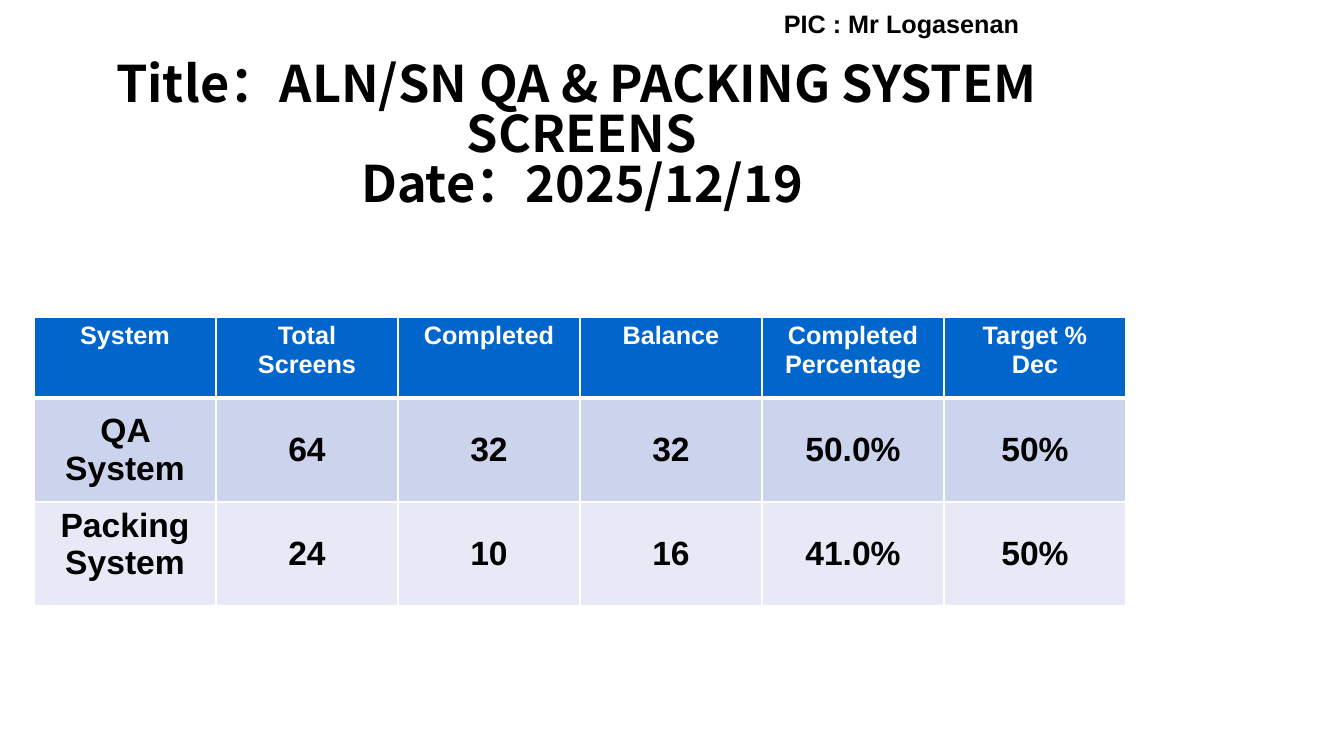
from lxml import etree
from pptx import Presentation
from pptx.dml.color import RGBColor
from pptx.enum.text import MSO_ANCHOR, MSO_AUTO_SIZE, PP_ALIGN
from pptx.oxml.ns import qn
from pptx.util import Pt

TOP, MIDDLE = MSO_ANCHOR.TOP, MSO_ANCHOR.MIDDLE
LEFT, CENTER = PP_ALIGN.LEFT, PP_ALIGN.CENTER
NO_FIT, GROW = MSO_AUTO_SIZE.NONE, MSO_AUTO_SIZE.SHAPE_TO_FIT_TEXT
TITLE_ONLY = 5

TITLE = ["Title：ALN/SN QA & PACKING SYSTEM ", "SCREENS", "Date：2025/12/19"]
CONTACT = "PIC : Mr Logasenan"
ROWS = [
    ["System", "Total Screens", "Completed", "Balance", "Completed Percentage", "Target %\nDec"],
    ["QA System", "64", "32", "32", "50.0%", "50%"],
    ["Packing System", "24", "10", "16", "41.0%", "50%"],
]
ROW_STYLES = [
    {"height": 81, "fill": "0066CC", "color": "FFFFFF", "size": 18, "bottom": 3},
    {"height": 104, "fill": "CCD3EC", "color": "000000", "size": 24, "bottom": 1},
    {"height": 104, "fill": "E7EAF6", "color": "000000", "size": 24, "bottom": 1},
]
TOP_ANCHORED = {"Packing System", *ROWS[0]}
COLUMN_WIDTH = 182


def px(length):
    return round(length * 914400 / 100.8)


def rgb(value):
    return RGBColor.from_string(value)


def write(frame, text, size=18, color="000000", font="Arial", align=CENTER, spacing=None):
    for index, line in enumerate(text.split("\n")):
        para = frame.paragraphs[0] if index == 0 else frame.add_paragraph()
        para.alignment = align
        para.line_spacing = spacing
        span = para.add_run()
        span.text = line
        span.font.name = font
        span.font.size = Pt(size)
        span.font.bold = True
        span.font.color.rgb = rgb(color)
        east_asian = etree.Element(qn("a:ea"), typeface=font)
        span.font._element.find(qn("a:latin")).addnext(east_asian)


def add_borders(cell, widths):
    properties = cell._tc.get_or_add_tcPr()
    for index, (side, width) in enumerate(widths.items()):
        line = etree.Element(qn(f"a:ln{side}"), w=str(Pt(width)))
        fill = etree.SubElement(line, qn("a:solidFill"))
        etree.SubElement(fill, qn("a:srgbClr"), val="FFFFFF")
        properties.insert(index, line)


def add_title(page):
    title = page.shapes.title
    title.left, title.top, title.width, title.height = map(px, (16, 53, 1132, 203))
    frame = title.text_frame
    frame.auto_size = NO_FIT
    frame.word_wrap = True
    frame.vertical_anchor = TOP
    frame.margin_top = px(9)
    write(frame, "\n".join(TITLE), size=36, font="Noto Sans CJK JP", spacing=0.83)


def add_contact(page):
    box = page.shapes.add_textbox(*map(px, (774, 3, 258, 40)))
    box.text_frame.word_wrap = False
    box.text_frame.auto_size = GROW
    write(box.text_frame, CONTACT, align=LEFT)


def add_progress_table(page):
    count = len(ROWS[0])
    height = sum(style["height"] for style in ROW_STYLES)
    area = map(px, (34, 317, COLUMN_WIDTH * count, height))
    table = page.shapes.add_table(len(ROWS), count, *area).table
    for column in table.columns:
        column.width = px(COLUMN_WIDTH)
    above = 1
    for row, texts, style in zip(table.rows, ROWS, ROW_STYLES):
        row.height = px(style["height"])
        for cell, text in zip(row.cells, texts):
            cell.fill.solid()
            cell.fill.fore_color.rgb = rgb(style["fill"])
            cell.vertical_anchor = TOP if text in TOP_ANCHORED else MIDDLE
            write(cell.text_frame, text, size=style["size"], color=style["color"])
            add_borders(cell, {"L": 1, "R": 1, "T": above, "B": style["bottom"]})
        above = style["bottom"]


def main():
    deck = Presentation()
    deck.slide_width, deck.slide_height = px(1344), px(756)
    page = deck.slides.add_slide(deck.slide_layouts[TITLE_ONLY])
    add_title(page)
    add_progress_table(page)
    add_contact(page)
    deck.save("out.pptx")


if __name__ == "__main__":
    main()
